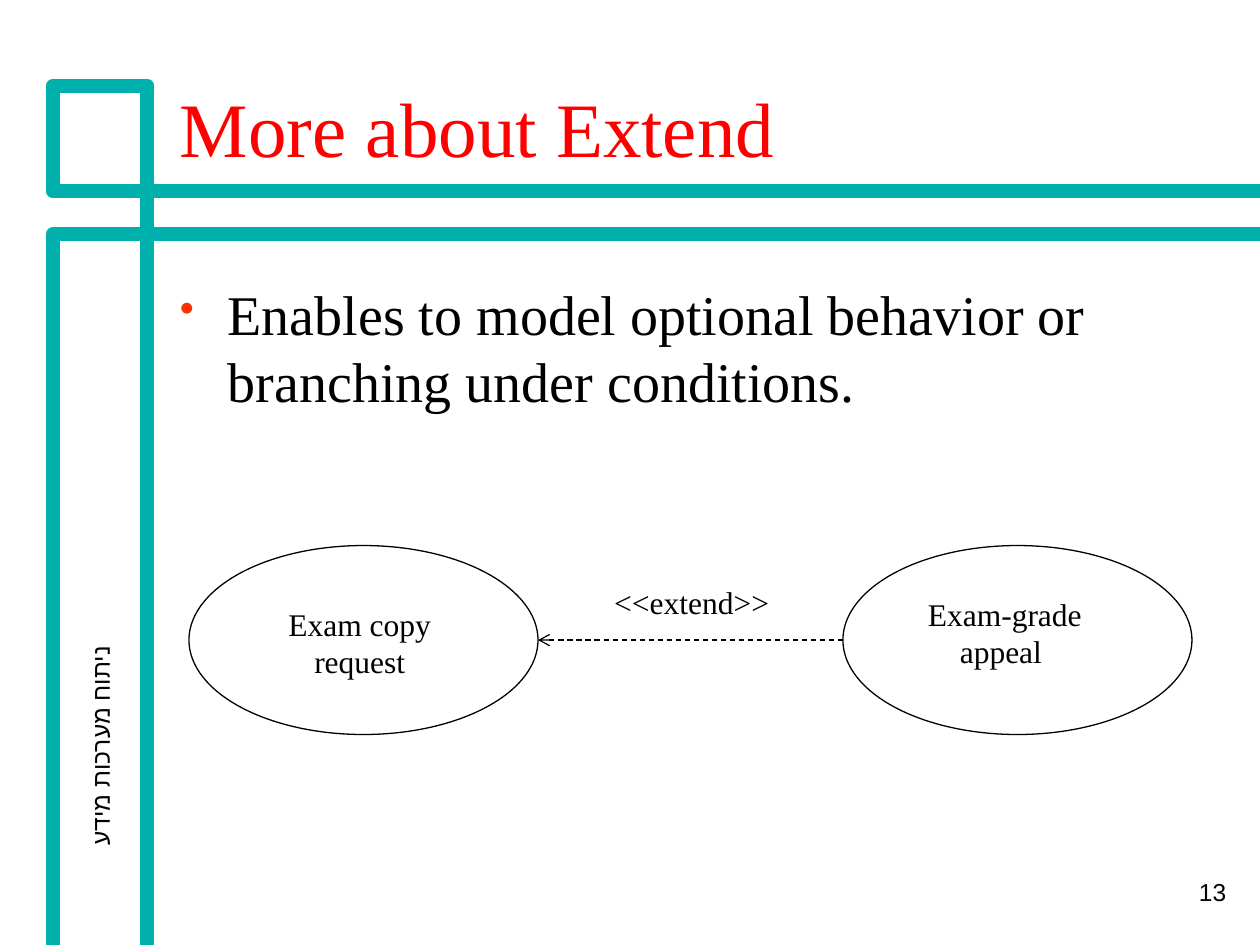
from pptx import Presentation
from pptx.dml.color import RGBColor
from pptx.enum.dml import MSO_LINE
from pptx.enum.shapes import MSO_CONNECTOR, MSO_SHAPE
from pptx.enum.text import MSO_ANCHOR as Anchor, PP_ALIGN as Align
from pptx.oxml.ns import qn
from pptx.util import Inches, Pt
from lxml.etree import SubElement

TEAL = RGBColor(0x00, 0xB0, 0xAC)
RED = RGBColor(0xFF, 0x00, 0x00)
BULLET_RED = RGBColor(0xFF, 0x33, 0x00)
BLACK = RGBColor(0x00, 0x00, 0x00)


class SlideBuilder:
    """Draw styled elements on the current slide."""

    font = "Times New Roman"
    thin = 0.75

    def __init__(self, slide):
        self.slide = slide

    def text(self, text, left, top, width, height, size=18, color=BLACK,
             font=None, align=Align.CENTER, anchor=Anchor.TOP, wrap=True, rotation=0):
        shape = self.slide.shapes.add_textbox(
            Inches(left), Inches(top), Inches(width), Inches(height))
        shape.rotation = rotation
        frame = shape.text_frame
        frame.word_wrap = wrap
        frame.vertical_anchor = anchor
        paragraph = frame.paragraphs[0]
        paragraph.alignment = align
        run = paragraph.add_run()
        run.text = text
        run.font.size = Pt(size)
        run.font.color.rgb = color
        run.font.name = font or self.font
        SubElement(run.font._element, qn("a:cs"), typeface=font or self.font)
        return paragraph

    def bullet(self, text, left, top, width, height, size, indent):
        paragraph = self.text(text, left, top, width, height, size=size, align=Align.LEFT)
        paragraph.space_before = Pt(4)
        properties = paragraph._p.get_or_add_pPr()
        properties.set("marL", str(Inches(indent)))
        properties.set("indent", str(-Inches(indent)))
        bullet_color = SubElement(properties, qn("a:buClr"))
        SubElement(bullet_color, qn("a:srgbClr"), val=str(BULLET_RED))
        SubElement(properties, qn("a:buSzPct"), val="75000")
        SubElement(properties, qn("a:buChar"), char="•")

    def frame_line(self, points, width=8):
        start, *others = [(Inches(x), Inches(y)) for x, y in points]
        builder = self.slide.shapes.build_freeform(*start)
        builder.add_line_segments(others, close=False)
        shape = builder.convert_to_shape()
        shape.shadow.inherit = False
        shape.fill.background()
        shape.line.color.rgb = TEAL
        shape.line.width = Pt(width)
        SubElement(shape.line._get_or_add_ln(), qn("a:round"))

    def ellipse(self, left, top, width, height):
        shape = self.slide.shapes.add_shape(
            MSO_SHAPE.OVAL, Inches(left), Inches(top), Inches(width), Inches(height))
        shape.shadow.inherit = False
        shape.fill.background()
        shape.line.color.rgb = BLACK
        shape.line.width = Pt(self.thin)

    def dashed_arrow(self, tip, tail, y):
        connector = self.slide.shapes.add_connector(
            MSO_CONNECTOR.STRAIGHT, Inches(tip), Inches(y), Inches(tail), Inches(y))
        connector.line.color.rgb = BLACK
        connector.line.width = Pt(self.thin)
        connector.line.dash_style = MSO_LINE.DASH
        SubElement(connector.line._get_or_add_ln(), qn("a:headEnd"), type="arrow")
        SubElement(connector._element.spPr, qn("a:effectLst"))


presentation = Presentation()
presentation.slide_width = Inches(10)
presentation.slide_height = Inches(7.5)
builder = SlideBuilder(presentation.slides.add_slide(presentation.slide_layouts[6]))

builder.frame_line([(10.02, 1.86), (0.42, 1.86), (0.42, 7.5)])
builder.frame_line([(1.17, 7.5), (1.17, 0.68), (0.42, 0.68), (0.42, 1.52), (10.02, 1.52)])
builder.text("ניתוח מערכות מידע", -0.79, 5.67, 3.17, 0.5, size=14, font="Arial",
             anchor=Anchor.MIDDLE, wrap=False, rotation=270)
builder.text("13", 7.75, 6.83, 2.08, 0.5, size=14, font="Arial",
             align=Align.RIGHT, anchor=Anchor.MIDDLE)
builder.text("More about Extend", 1.33, 0.23, 8.5, 1.19, size=44, color=RED,
             align=Align.LEFT, anchor=Anchor.BOTTOM)
builder.bullet("Enables to model optional behavior or branching under conditions.",
               1.33, 2.17, 8.5, 4.5, size=32, indent=0.38)

copy_left, appeal_left = 1.5, 6.69
case_top, case_width, case_height = 4.33, 2.77, 1.5
for left in (copy_left, appeal_left):
    builder.ellipse(left, case_top, case_width, case_height)
builder.text("Exam copy request", 1.85, 4.75, 2.01, 0.7)
builder.text("Exam-grade appeal ", 6.92, 4.67, 2.11, 0.7)
builder.dashed_arrow(copy_left + case_width, appeal_left, case_top + case_height / 2)
builder.text("<<extend>>", 4.77, 4.58, 1.44, 0.4, wrap=False)

presentation.save("out.pptx")
